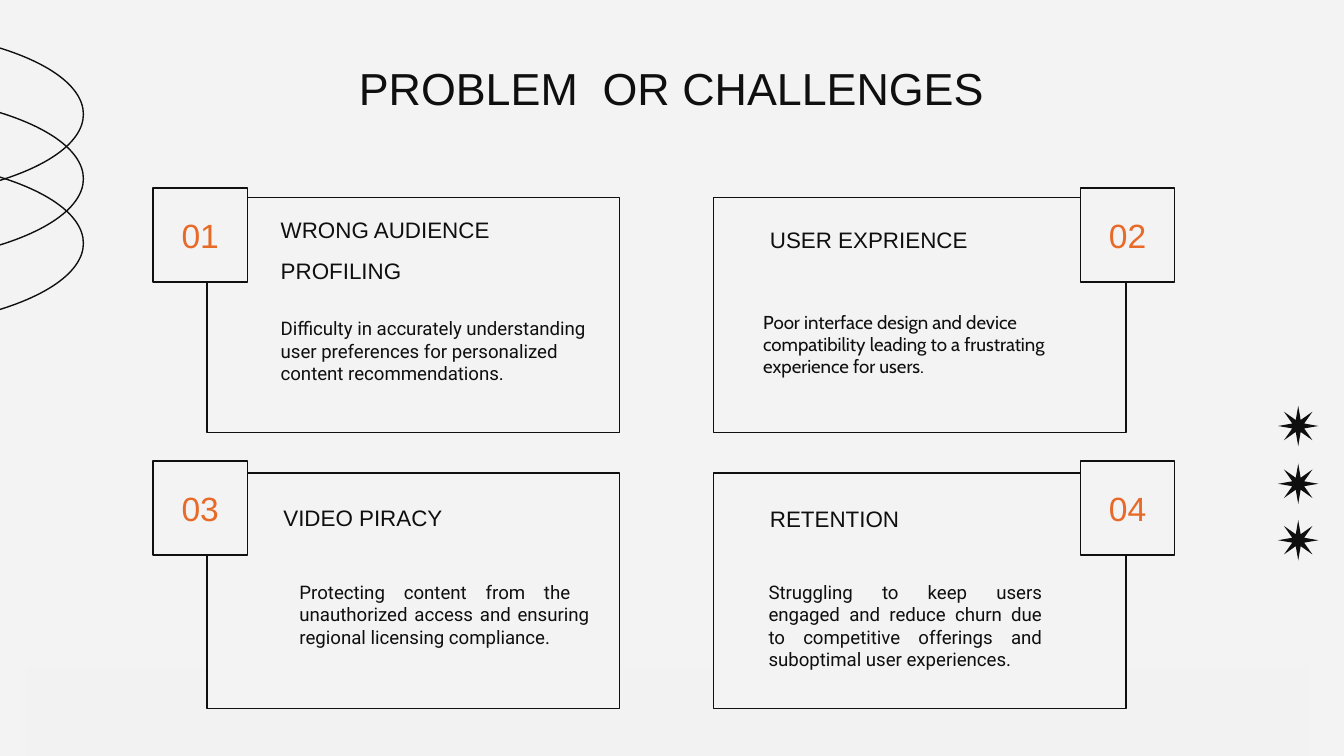
from pptx import Presentation
from pptx.dml.color import RGBColor
from pptx.enum.shapes import MSO_SHAPE
from pptx.enum.text import MSO_ANCHOR, PP_ALIGN
from pptx.util import Inches, Pt

RECT, OVAL, STAR = MSO_SHAPE.RECTANGLE, MSO_SHAPE.OVAL, MSO_SHAPE.STAR_8_POINT
TOP, MIDDLE, BOTTOM = MSO_ANCHOR.TOP, MSO_ANCHOR.MIDDLE, MSO_ANCHOR.BOTTOM
LEFT, CENTER, JUSTIFY = PP_ALIGN.LEFT, PP_ALIGN.CENTER, PP_ALIGN.JUSTIFY

PAPER = RGBColor(0xF3, 0xF3, 0xF3)
BAND = RGBColor(0xF2, 0xF2, 0xF2)
INK = RGBColor(0x0F, 0x0F, 0x0F)
ORANGE = RGBColor(0xE7, 0x6A, 0x28)

STAR_TOPS = (3.02, 3.45, 3.87)
CARD_W, CARD_H, BADGE = 3.07, 1.75, 0.7
COLUMNS = [(1.54, 1.14), (5.31, 8.04)]  # card left, badge left
ROWS = [(1.47, 1.4), (3.52, 3.43)]      # card top, badge top

# heading, heading box, body, body box, body font, body alignment
CHALLENGES = [
    ("WRONG AUDIENCE PROFILING", (1.99, 1.57, 2.52, 0.64),
     "Difficulty in accurately understanding user preferences for "
     "personalized content recommendations.",
     (1.99, 2.26, 2.54, 0.89), "Roboto", LEFT),
    ("USER EXPRIENCE", (5.63, 1.63, 2.52, 0.35),
     "Poor interface design and device compatibility leading to a "
     "frustrating experience for users.",
     (5.58, 2.21, 2.48, 0.89), "Cabin", LEFT),
    ("VIDEO PIRACY", (2.01, 3.68, 2.52, 0.37),
     "Protecting content from the  unauthorized access and ensuring "
     "regional licensing compliance.",
     (2.13, 4.22, 2.35, 0.89), "Roboto", JUSTIFY),
    ("RETENTION", (5.63, 3.66, 2.52, 0.4),
     "Struggling to keep users engaged and reduce churn due to "
     "competitive offerings and suboptimal user experiences.",
     (5.62, 4.22, 2.23, 0.89), "Roboto", JUSTIFY),
]


def add_shape(s, kind, box, fill=None, line=None):
    sp = s.shapes.add_shape(kind, *map(Inches, box))
    sp.shadow.inherit = False
    if fill is None:
        sp.fill.background()
    else:
        sp.fill.solid()
        sp.fill.fore_color.rgb = fill
    if line is None:
        sp.line.fill.background()
    else:
        sp.line.color.rgb = line
        sp.line.width = Pt(0.75)
    return sp


def write(sp, text, size, font="Arial", color=INK, align=LEFT, anchor=TOP,
          spacing=1.0):
    tf = sp.text_frame
    tf.word_wrap = True
    tf.vertical_anchor = anchor
    tf.margin_left = tf.margin_right = Inches(0.1)
    tf.margin_top = tf.margin_bottom = Inches(0.1)
    p = tf.paragraphs[0]
    p.text = text
    p.alignment = align
    p.line_spacing = spacing
    p.font.size = Pt(size)
    p.font.name = font
    p.font.color.rgb = color


def add_text(s, box, text, size, **style):
    write(s.shapes.add_textbox(*map(Inches, box)), text, size, **style)


def add_title(s, box, text):
    title = s.shapes.title
    title.left, title.top, title.width, title.height = map(Inches, box)
    write(title, text, 24, align=CENTER, anchor=MIDDLE)


def add_decoration(s):
    # Stars on the right edge
    for top in STAR_TOPS:
        star = add_shape(s, STAR, (9.51, top, 0.3, 0.3), INK)
        star.adjustments[0] = 0.16
    # Overlapping rings on the left edge
    for i in range(3):
        ring = add_shape(s, OVAL, (-1.74, -0.87 + 0.48 * i, 1.28, 3.44),
                         line=INK)
        ring.rotation = 90
    # Faint band along the bottom
    add_shape(s, RECT, (0.2, 4.97, 9.53, 0.71), BAND)


def add_challenge(s, index, heading, heading_box, body, body_box, font, align):
    row, column = divmod(index, 2)
    card_x, badge_x = COLUMNS[column]
    card_y, badge_y = ROWS[row]
    add_shape(s, RECT, (card_x, card_y, CARD_W, CARD_H), PAPER, INK)
    add_text(s, body_box, body, 10, font=font, align=align)
    add_text(s, heading_box, heading, 12, anchor=BOTTOM, spacing=1.5)
    badge = add_shape(s, RECT, (badge_x, badge_y, BADGE, BADGE), PAPER, INK)
    write(badge, f"{index + 1:02d}", 18, color=ORANGE, align=CENTER,
          anchor=MIDDLE)


def main():
    prs = Presentation()
    prs.slide_width = Inches(10)
    prs.slide_height = prs.slide_width * 9 // 16
    s = prs.slides.add_slide(prs.slide_layouts[5])
    s.background.fill.solid()
    s.background.fill.fore_color.rgb = PAPER

    add_decoration(s)
    add_title(s, (1.91, 0.34, 6.17, 0.63), "PROBLEM  OR CHALLENGES")
    for index, challenge in enumerate(CHALLENGES):
        add_challenge(s, index, *challenge)
    prs.save("out.pptx")


if __name__ == "__main__":
    main()
